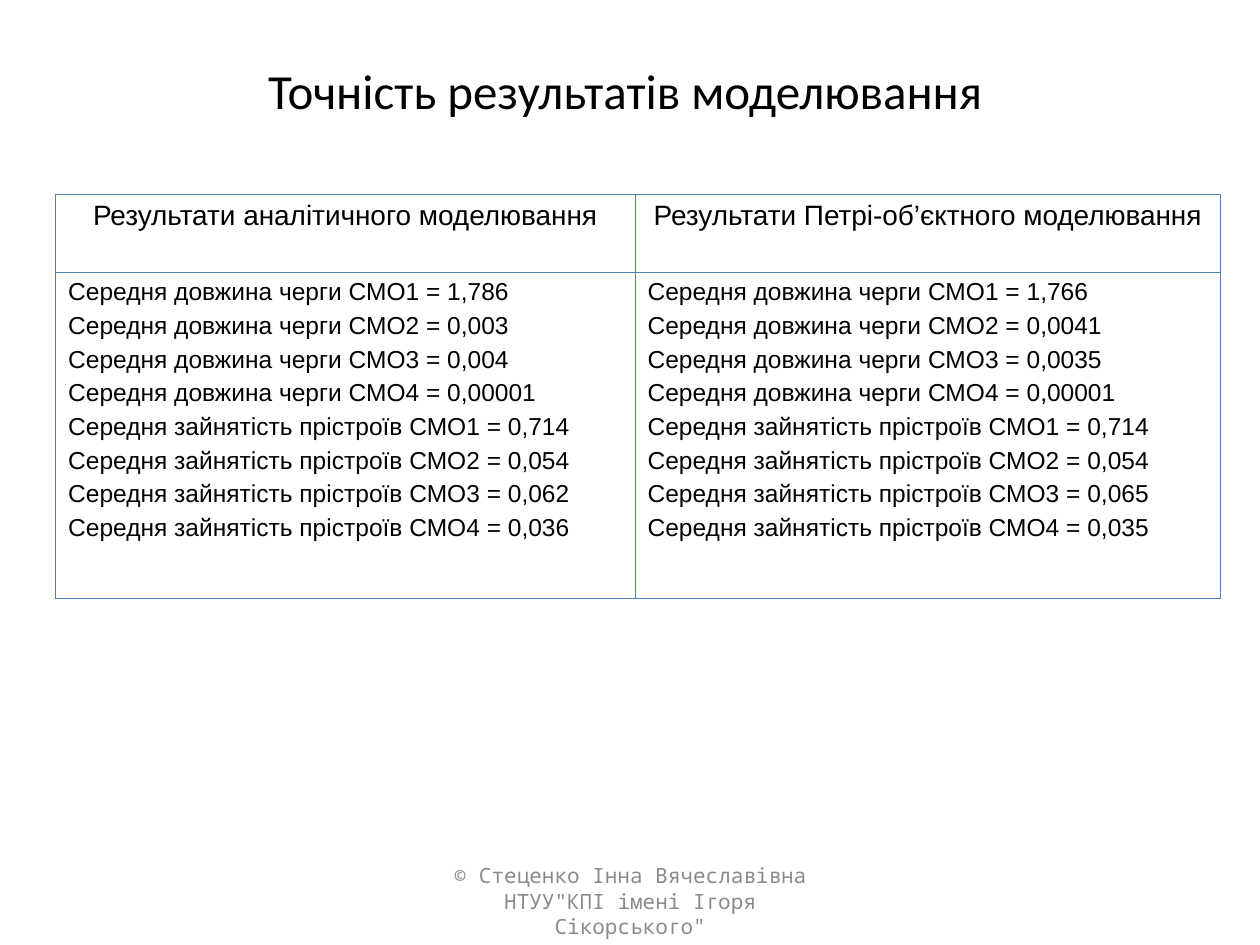
from dataclasses import dataclass

from lxml.etree import SubElement
from pptx import Presentation
from pptx.dml.color import RGBColor
from pptx.enum.text import MSO_ANCHOR, PP_ALIGN
from pptx.oxml.ns import qn
from pptx.table import _Cell
from pptx.text.text import TextFrame
from pptx.util import Cm, Pt


@dataclass(frozen=True)
class Style:
    font: str
    size: float
    color: str = "000000"
    align: PP_ALIGN = PP_ALIGN.CENTER
    gap: float = 0


@dataclass(frozen=True)
class Theme:
    title: Style = Style("Calibri", 28)
    head: Style = Style("Arial", 16)
    body: Style = Style("Arial", 14, align=PP_ALIGN.LEFT, gap=3.5)
    foot: Style = Style("Noto Sans Mono", 12, "898989")
    edge: str = "4F81BD"
    line: float = 0.45


@dataclass(frozen=True)
class Column:
    head: str
    width: float
    queues: tuple[str, ...]
    loads: tuple[str, ...]

    def lines(self) -> list[str]:
        groups = (("Середня довжина черги", self.queues),
                  ("Середня зайнятість прістроїв", self.loads))
        return [f"{label} СМО{num} = {value}"
                for label, values in groups
                for num, value in enumerate(values, 1)]


THEME = Theme()
COLUMNS = (
    Column("Результати аналітичного моделювання", 11.68,
           ("1,786", "0,003", "0,004", "0,00001"),
           ("0,714", "0,054", "0,062", "0,036")),
    Column("Результати Петрі-об’єктного моделювання", 11.81,
           ("1,766", "0,0041", "0,0035", "0,00001"),
           ("0,714", "0,054", "0,065", "0,035")),
)
ROWS = (1.57, 6.58)


def write(frame: TextFrame, lines: list[str], style: Style) -> None:
    frame.word_wrap = True
    for index, text in enumerate(lines):
        para = frame.add_paragraph() if index else frame.paragraphs[0]
        para.alignment = style.align
        para.space_before = Pt(style.gap if index else 0)
        run = para.add_run()
        run.text = text
        run.font.name = style.font
        run.font.size = Pt(style.size)
        run.font.bold = False
        run.font.color.rgb = RGBColor.from_string(style.color)


def border(cell: _Cell) -> None:
    props = cell._tc.get_or_add_tcPr()
    for side in ("lnL", "lnR", "lnT", "lnB"):
        line = SubElement(props, qn(f"a:{side}"), w=str(int(Pt(THEME.line))))
        fill = SubElement(line, qn("a:solidFill"))
        SubElement(fill, qn("a:srgbClr"), val=THEME.edge)


def fill_cell(cell: _Cell, lines: list[str], style: Style) -> None:
    border(cell)
    cell.fill.background()
    write(cell.text_frame, lines, style)


def main() -> None:
    deck = Presentation()
    deck.slide_width, deck.slide_height = Cm(25.4), Cm(19.05)
    slide = deck.slides.add_slide(deck.slide_layouts[5])

    title = slide.shapes.title
    title.left, title.top = Cm(1.1), Cm(1.12)
    title.width, title.height = Cm(23), Cm(1.4)
    title.text_frame.vertical_anchor = MSO_ANCHOR.MIDDLE
    write(title.text_frame, ["Точність результатів моделювання"], THEME.title)

    width = sum(col.width for col in COLUMNS)
    table = slide.shapes.add_table(
        len(ROWS), len(COLUMNS), Cm(1.12), Cm(3.92), Cm(width), Cm(sum(ROWS))
    ).table
    table.first_row = table.horz_banding = False
    for row, height in zip(table.rows, ROWS):
        row.height = Cm(height)
    for index, col in enumerate(COLUMNS):
        table.columns[index].width = Cm(col.width)
        fill_cell(table.cell(0, index), [col.head], THEME.head)
        fill_cell(table.cell(1, index), col.lines(), THEME.body)

    foot = slide.shapes.add_textbox(Cm(8.68), Cm(17.65), Cm(8.05), Cm(1.02))
    foot.text_frame.vertical_anchor = MSO_ANCHOR.MIDDLE
    write(foot.text_frame,
          ['© Стеценко Інна Вячеславівна НТУУ"КПІ імені Ігоря Сікорського"'],
          THEME.foot)

    deck.save("out.pptx")


if __name__ == "__main__":
    main()
